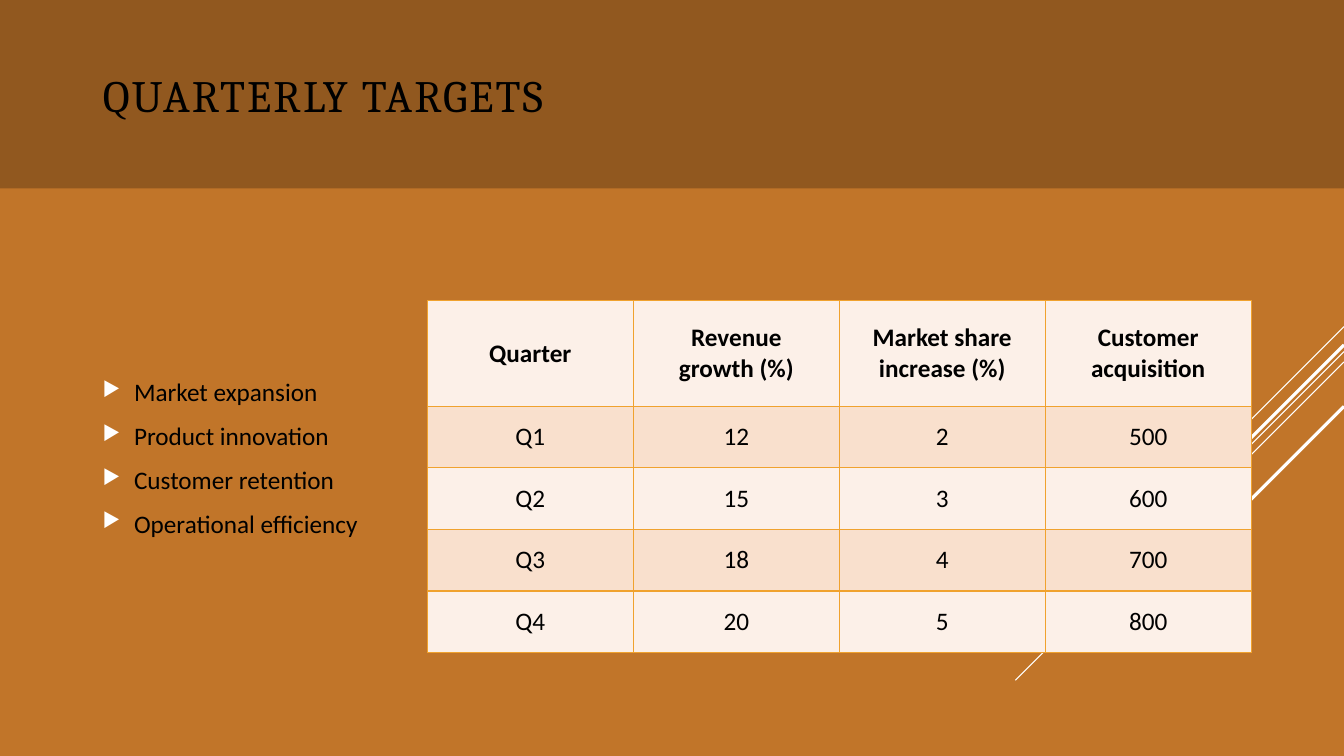
from dataclasses import dataclass

from lxml import etree
from pptx import Presentation
from pptx.dml.color import RGBColor
from pptx.enum.shapes import MSO_CONNECTOR, MSO_SHAPE
from pptx.enum.text import MSO_ANCHOR, PP_ALIGN
from pptx.oxml.ns import qn
from pptx.util import Cm, Pt

LEFT, CENTER = PP_ALIGN.LEFT, PP_ALIGN.CENTER
MIDDLE = MSO_ANCHOR.MIDDLE
RECT = MSO_SHAPE.RECTANGLE
STRAIGHT = MSO_CONNECTOR.STRAIGHT

BLACK = RGBColor(0x00, 0x00, 0x00)
WHITE = RGBColor(0xFF, 0xFF, 0xFF)
ORANGE = RGBColor(0xC1, 0x75, 0x29)
BROWN = RGBColor(0x91, 0x58, 0x1F)
GOLD = RGBColor(0xF0, 0xA2, 0x2E)
CREAM = RGBColor(0xFC, 0xF0, 0xE8)
PEACH = RGBColor(0xF9, 0xE0, 0xCD)

WIDTH, HEIGHT = 33.87, 19.05
BAND = 4.75
TOP = 7.57
COL, HEAD, ROW = 5.19, 2.67, 1.55


@dataclass
class Ray:
    top: float
    reach: float
    weight: float


RAYS = [
    Ray(8.23, 2.54, 0.75),
    Ray(8.86, 8.28, 0.75),
    Ray(9.12, 5.26, 0.75),
    Ray(8.69, 4.85, 2.25),
    Ray(10.24, 3.53, 2.25),
]
GOALS = ["Market expansion", "Product innovation",
         "Customer retention", "Operational efficiency"]
DATA = [
    ["Quarter", "Revenue\vgrowth (%)", "Market share increase (%)",
     "Customer acquisition"],
    ["Q1", "12", "2", "500"],
    ["Q2", "15", "3", "600"],
    ["Q3", "18", "4", "700"],
    ["Q4", "20", "5", "800"],
]


def add_node(parent, tag: str, **attrs: str):
    return etree.SubElement(parent, qn(tag), attrs)


def write(par, text: str, *, size: float = 18, face: str = "Calibri",
          bold: bool = False, align=LEFT, track: int = 0) -> None:
    par.text = text
    par.alignment = align
    for run in par.runs:
        font = run.font
        font.size, font.name, font.bold = Pt(size), face, bold
        font.color.rgb = BLACK
        if track:
            font._element.set("spc", str(track))


def draw_ray(slide, ray: Ray) -> None:
    line = slide.shapes.add_connector(
        STRAIGHT, Cm(WIDTH), Cm(ray.top),
        Cm(WIDTH - ray.reach), Cm(ray.top + ray.reach))
    line.line.color.rgb = WHITE
    line.line.width = Pt(ray.weight)
    add_node(line.element.spPr, "a:effectLst")


def draw_title(slide) -> None:
    band = slide.shapes.add_shape(RECT, 0, 0, Cm(WIDTH), Cm(BAND))
    band.shadow.inherit = False
    band.fill.solid()
    band.fill.fore_color.rgb = BROWN
    band.line.fill.background()
    title = slide.shapes.title
    title.left, title.top = Cm(2.34), Cm(0)
    title.width, title.height = Cm(21.84), Cm(BAND)
    title.text_frame.vertical_anchor = MIDDLE
    write(title.text_frame.paragraphs[0], "QUARTERLY TARGETS",
          size=32, face="Cambria", track=150)
    band.element.addnext(title.element)


def add_bullet(par) -> None:
    props = par._p.get_or_add_pPr()
    props.set("marL", str(Cm(0.79)))
    props.set("indent", str(Cm(-0.79)))
    add_node(add_node(props, "a:buClr"), "a:srgbClr", val=str(WHITE))
    add_node(props, "a:buSzPct", val="80000")
    add_node(props, "a:buChar", char="▶")


def draw_goals(slide) -> None:
    box = slide.shapes.add_textbox(Cm(2.34), Cm(TOP), Cm(7.62), Cm(8.89))
    frame = box.text_frame
    frame.word_wrap = True
    frame.vertical_anchor = MIDDLE
    frame.margin_bottom = Cm(1.1)
    for i, goal in enumerate(GOALS):
        par = frame.add_paragraph() if i else frame.paragraphs[0]
        add_bullet(par)
        par.space_before = Pt(3.6 if i else 0)
        par.space_after = Pt(6)
        write(par, goal)


def add_border(cell) -> None:
    props = cell._tc.get_or_add_tcPr()
    for side in ("a:lnL", "a:lnR", "a:lnT", "a:lnB"):
        edge = add_node(props, side, w=str(Pt(1)))
        fill = add_node(edge, "a:solidFill")
        add_node(fill, "a:srgbClr", val=str(GOLD))


def draw_table(slide) -> None:
    rows, cols = len(DATA), len(DATA[0])
    table = slide.shapes.add_table(
        rows, cols, Cm(10.77), Cm(TOP), Cm(COL * cols),
        Cm(HEAD + ROW * (rows - 1))).table
    table.first_row = table.horz_banding = False
    for col in table.columns:
        col.width = Cm(COL)
    for r, texts in enumerate(DATA):
        table.rows[r].height = Cm(ROW if r else HEAD)
        for c, text in enumerate(texts):
            cell = table.cell(r, c)
            cell.vertical_anchor = MIDDLE
            add_border(cell)
            cell.fill.solid()
            cell.fill.fore_color.rgb = PEACH if r % 2 else CREAM
            write(cell.text_frame.paragraphs[0], text,
                  bold=r == 0, align=CENTER)


def main() -> None:
    deck = Presentation()
    deck.slide_width, deck.slide_height = Cm(WIDTH), Cm(HEIGHT)
    slide = deck.slides.add_slide(deck.slide_layouts[5])
    slide.background.fill.solid()
    slide.background.fill.fore_color.rgb = ORANGE
    for ray in RAYS:
        draw_ray(slide, ray)
    draw_title(slide)
    draw_goals(slide)
    draw_table(slide)
    deck.save("out.pptx")


if __name__ == "__main__":
    main()
